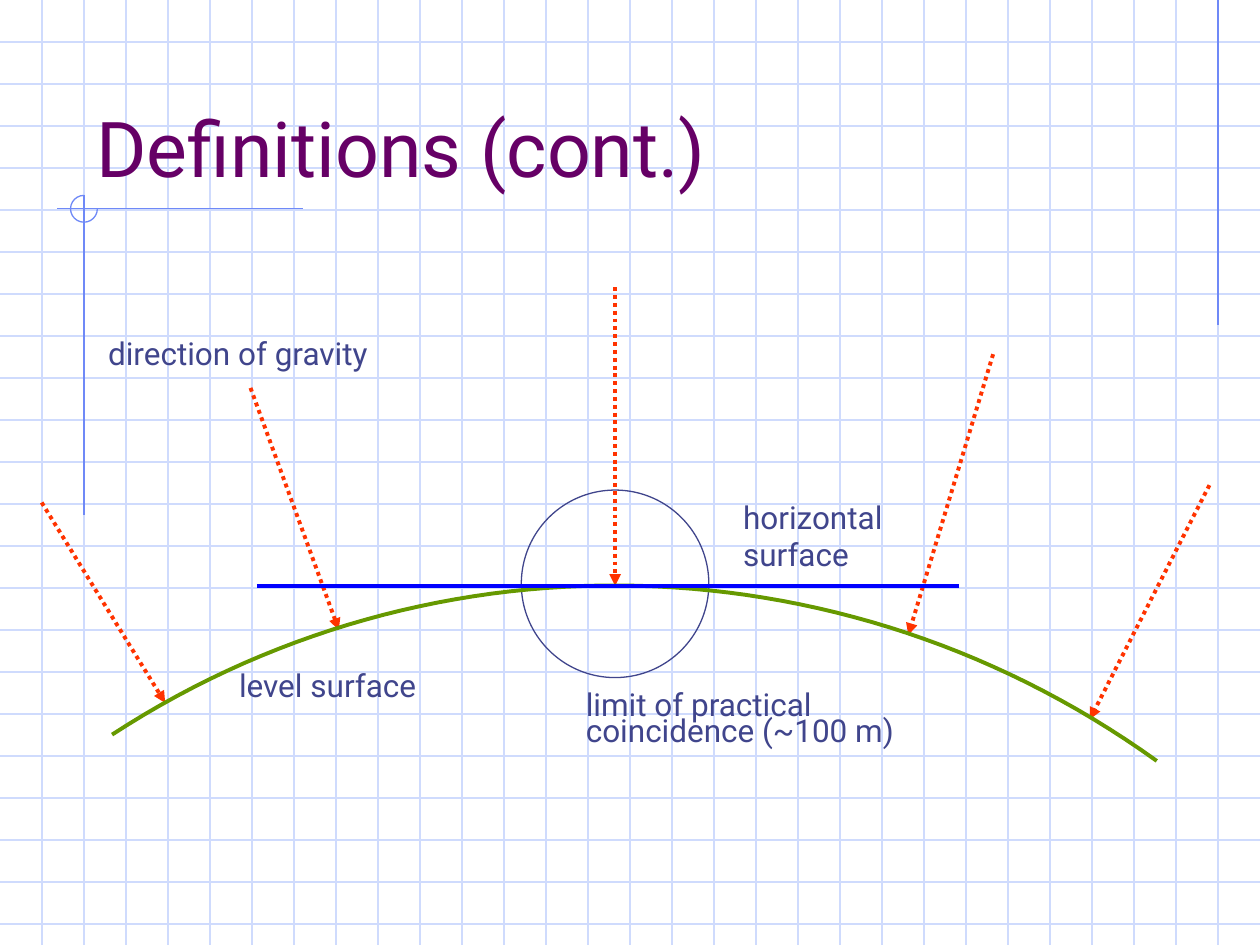
from lxml import etree
from pptx import Presentation
from pptx import util as u
from pptx.dml.color import RGBColor
from pptx.enum import dml, shapes, text
from pptx.oxml import ns

WIDTH, HEIGHT = 25.4, 19.05
GRID = 2.54 / 3
CORNER_X, CORNER_Y = 2 * GRID, 4.21
TANGENT_Y = 11.81

GRID_LINE, ACCENT, INK = "CFDBFD", "6F89F7", "40458C"
PURPLE, RED, GREEN, BLUE = "660066", "FF3300", "669900", "0000FF"


def color(hex_text):
    return RGBColor.from_string(hex_text)


def bezier(p0, p1, p2, p3, steps=60):
    """Points along a cubic curve."""
    for i in range(steps + 1):
        t = i / steps
        s = 1 - t
        weights = (s ** 3, 3 * s * s * t, 3 * s * t * t, t ** 3)
        yield tuple(sum(w * p[axis] for w, p in zip(weights, (p0, p1, p2, p3)))
                    for axis in (0, 1))


class Sketch:
    """Holds the text style and the slide being drawn."""

    def __init__(self, slide, font):
        self.slide = slide
        self.font = font

    def stroke(self, item, hex_text, width):
        item.line.color.rgb = color(hex_text)
        item.line.width = u.Pt(width)

    def line(self, start, end, hex_text, width=0.75):
        points = [u.Cm(v) for v in (*start, *end)]
        connector = self.slide.shapes.add_connector(
            shapes.MSO_CONNECTOR.STRAIGHT, *points)
        self.stroke(connector, hex_text, width)
        etree.SubElement(connector._element.spPr, ns.qn("a:effectLst"))
        return connector

    def arrow(self, start, end, hex_text, width):
        connector = self.line(start, end, hex_text, width)
        connector.line.dash_style = dml.MSO_LINE.ROUND_DOT
        etree.SubElement(connector.line._get_or_add_ln(),
                         ns.qn("a:tailEnd"), type="triangle")

    def outline(self, item, hex_text, width):
        """Leave the item unfilled, without shadow."""
        item.shadow.inherit = False
        item.fill.background()
        self.stroke(item, hex_text, width)

    def ring(self, kind, center_x, center_y, size, hex_text):
        box = (center_x - size / 2, center_y - size / 2, size, size)
        ring = self.slide.shapes.add_shape(kind, *(u.Cm(v) for v in box))
        self.outline(ring, hex_text, 0.75)
        return ring

    def curve(self, controls, hex_text, width):
        points = [(u.Cm(x), u.Cm(y)) for x, y in bezier(*controls)]
        builder = self.slide.shapes.build_freeform(*points[0])
        builder.add_line_segments(points[1:], close=False)
        self.outline(builder.convert_to_shape(), hex_text, width)

    def label(self, box, lines, spacings=(1, 1), size=18, hex_text=INK,
              anchor=text.MSO_ANCHOR.TOP):
        frame = self.slide.shapes.add_textbox(*(u.Cm(v) for v in box)).text_frame
        frame.word_wrap = True
        frame.vertical_anchor = anchor
        frame.text = "\n".join(lines)
        style = {"name": self.font, "size": u.Pt(size)}
        for paragraph, spacing in zip(frame.paragraphs, spacings):
            paragraph.line_spacing = spacing
            for run in paragraph.runs:
                for key, value in style.items():
                    setattr(run.font, key, value)
                run.font.color.rgb = color(hex_text)


def draw_background(sketch):
    for row in range(1, 23):
        sketch.line((0, row * GRID), (WIDTH, row * GRID), GRID_LINE)
    for column in range(1, 30):
        sketch.line((column * GRID, 0), (column * GRID, HEIGHT), GRID_LINE)
    sketch.line((29 * GRID, 0), (29 * GRID, 6.55), ACCENT)
    sketch.line((6.1, CORNER_Y), (1.14, CORNER_Y), ACCENT)
    sketch.line((CORNER_X, 3.93), (CORNER_X, 10.39), ACCENT)
    corner = sketch.ring(shapes.MSO_SHAPE.ARC, CORNER_X, CORNER_Y, 0.54, ACCENT)
    # Three quarters of a turn, in units of 100000/60000 degrees
    corner.adjustments[0] = 0
    corner.adjustments[1] = 162


def draw_diagram(sketch):
    sketch.ring(shapes.MSO_SHAPE.OVAL, 12.4, 11.77, 3.78, INK)
    sketch.label((11.56, 13.89, 6.9, 1.32),
                 ["limit of practical", "coincidence (~100 m)"], (0.7, 0.7))

    gravity = [
        ((0.84, 10.13), (3.33, 14.17)),
        ((5.05, 7.82), (6.83, 12.7)),
        ((12.4, 5.79), (12.4, TANGENT_Y)),
        ((20.02, 7.14), (18.31, 12.8)),
        ((24.38, 9.78), (21.97, 14.5)),
    ]
    for start, end in gravity:
        sketch.arrow(start, end, RED, 2.25)
    sketch.label((1.93, 6.6, 6.12, 1.02), ["direction of gravity"])

    level_surface = [(2.26, 14.81), (8.69, 10.62), (17.04, 10.82), (23.32, 15.34)]
    sketch.curve(level_surface, GREEN, 2.25)
    sketch.label((4.57, 13.31, 4.24, 1.02), ["level surface"])

    sketch.line((5.18, TANGENT_Y), (19.33, TANGENT_Y), BLUE, 2.25)
    sketch.label((14.73, 10.13, 3.53, 1.55), ["horizontal", "surface"], (0.7, 1))


def main():
    deck = Presentation()
    deck.slide_width, deck.slide_height = u.Cm(WIDTH), u.Cm(HEIGHT)
    sketch = Sketch(deck.slides.add_slide(deck.slide_layouts[6]), "Roboto")
    draw_background(sketch)
    sketch.label((1.69, 0.84, 21.59, 3.18), ["Definitions (cont.)"], size=44,
                 hex_text=PURPLE, anchor=text.MSO_ANCHOR.BOTTOM)
    draw_diagram(sketch)
    deck.save("out.pptx")


if __name__ == "__main__":
    main()
